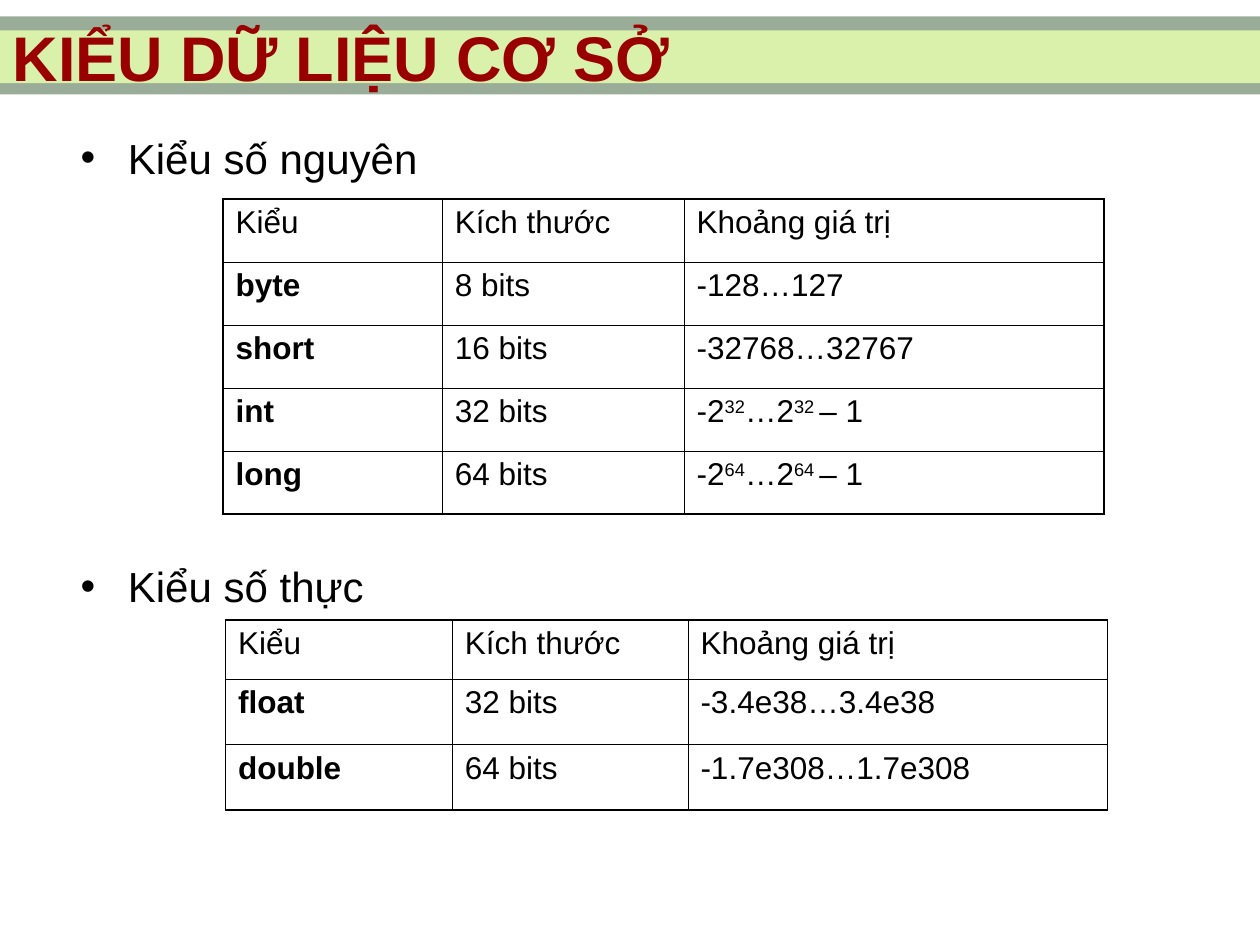
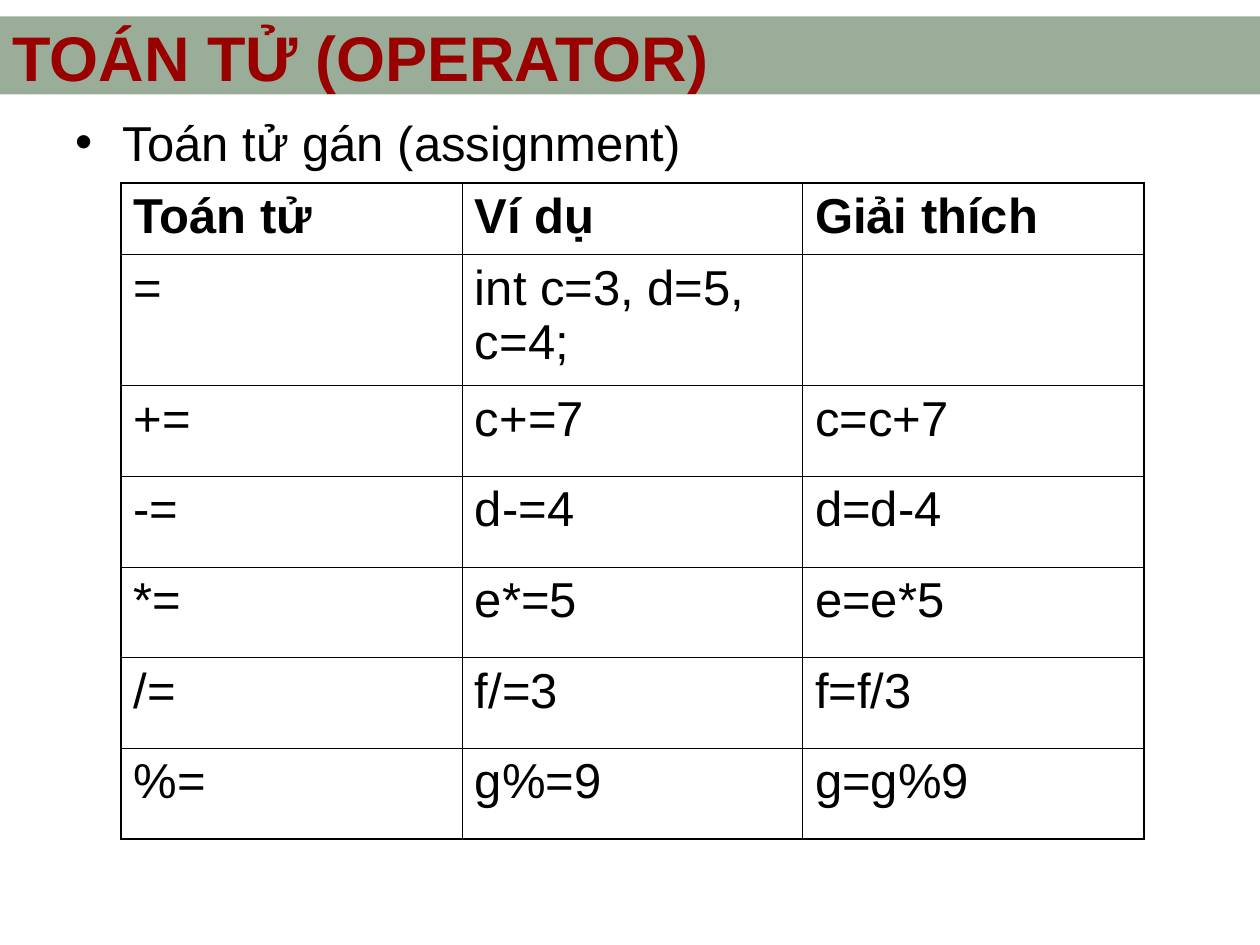
from pptx import Presentation
from pptx.dml.color import RGBColor
from pptx.enum.shapes import MSO_SHAPE
from pptx.enum.text import MSO_ANCHOR, MSO_AUTO_SIZE, PP_ALIGN
from pptx.oxml import parse_xml
from pptx.oxml.ns import nsdecls, qn
from pptx.util import Inches, Pt
from lxml import etree

RECTANGLE = MSO_SHAPE.RECTANGLE
MIDDLE, TOP = MSO_ANCHOR.MIDDLE, MSO_ANCHOR.TOP
LEFT = PP_ALIGN.LEFT
NO_AUTOFIT = MSO_AUTO_SIZE.NONE

# Shared look
FONT = "Arial"
BLACK = RGBColor(0x00, 0x00, 0x00)
DARK_GREEN = RGBColor(0x00, 0x33, 0x00)
LIGHT_GREEN = RGBColor(0xD9, 0xF1, 0xAB)
TITLE_RED = RGBColor(0x99, 0x00, 0x00)
BAND_OPACITY = 40
OUTER_LINE, INNER_LINE = Pt(1.08), Pt(0.45)
TITLE_AND_CONTENT = 1

# Table contents; text between carets is superscript
TYPE_HEADER = ["Kiểu", "Kích thước", "Khoảng giá trị"]
INTEGER_TYPES = [
    TYPE_HEADER,
    ["byte", "8 bits", "-128…127"],
    ["short", "16 bits", "-32768…32767"],
    ["int", "32 bits", "-2^32^…2^32 ^– 1"],
    ["long", "64 bits", "-2^64^…2^64 ^– 1"],
]
REAL_TYPES = [
    TYPE_HEADER,
    ["float", "32 bits", "-3.4e38…3.4e38"],
    ["double", "64 bits", "-1.7e308…1.7e308"],
]
ASSIGNMENT_OPERATORS = [
    ["Toán tử", "Ví dụ", "Giải thích"],
    ["=", "int c=3, d=5, c=4;", ""],
    ["+=", "c+=7", "c=c+7"],
    ["-=", "d-=4", "d=d-4"],
    ["*=", "e*=5", "e=e*5"],
    ["/=", "f/=3", "f=f/3"],
    ["%=", "g%=9", "g=g%9"],
]


def place(shape, left, top, width, height):
    shape.left, shape.top = Inches(left), Inches(top)
    shape.width, shape.height = Inches(width), Inches(height)


def format_font(paragraph, size, color=BLACK, bold=False):
    font = paragraph.font
    font.name, font.size, font.bold = FONT, Pt(size), bold
    font.color.rgb = color


def add_titled_slide(presentation, title_text, title_fill=None):
    """Add a slide with the translucent band behind its title."""
    layout = presentation.slide_layouts[TITLE_AND_CONTENT]
    slide = presentation.slides.add_slide(layout)

    band = slide.shapes.add_shape(
        RECTANGLE, 0, Inches(0.13), presentation.slide_width, Inches(0.62))
    band.shadow.inherit = False
    band.line.fill.background()
    band.fill.solid()
    band.fill.fore_color.rgb = DARK_GREEN
    color = band.element.spPr.find(qn("a:solidFill"))[0]
    etree.SubElement(color, qn("a:alpha"), val=str(BAND_OPACITY * 1000))

    title = slide.shapes.title
    title.element.addprevious(band.element)
    place(title, 0, 0.24, 10, 0.42)
    if title_fill is not None:
        title.fill.solid()
        title.fill.fore_color.rgb = title_fill
    frame = title.text_frame
    frame.text = title_text
    frame.auto_size = NO_AUTOFIT
    frame.vertical_anchor = MIDDLE
    paragraph = frame.paragraphs[0]
    paragraph.alignment = LEFT
    format_font(paragraph, 36, TITLE_RED, bold=True)
    return slide


def fill_bullets(slide, box, bullets, size):
    """Write (text, space before) bullets into the body placeholder."""
    body = slide.placeholders[1]
    place(body, *box)
    frame = body.text_frame
    frame.auto_size = NO_AUTOFIT
    frame.vertical_anchor = TOP
    frame.text = "\n".join(text for text, _ in bullets)
    for paragraph, (_, space_before) in zip(frame.paragraphs, bullets):
        paragraph.space_before = Pt(space_before)
        format_font(paragraph, size)


def write_cell(cell, text, size, bold):
    paragraph = cell.text_frame.paragraphs[0]
    format_font(paragraph, size, bold=bold)
    for index, part in enumerate(text.split("^")):
        if part:
            run = paragraph.add_run()
            run.text = part
            if index % 2:
                run.font._element.set("baseline", "30000")


def set_borders(cell, outer_sides):
    properties = cell._tc.get_or_add_tcPr()
    for side in "LRTB":
        width = OUTER_LINE if side in outer_sides else INNER_LINE
        properties.append(parse_xml(
            f'<a:ln{side} {nsdecls("a")} w="{width}"><a:solidFill>'
            f'<a:srgbClr val="{BLACK}"/></a:solidFill></a:ln{side}>'))


def add_grid(slide, left, top, widths, heights, rows, size, is_bold):
    """Add a ruled table; is_bold(row, column) picks the bold cells."""
    table = slide.shapes.add_table(
        len(rows), len(widths), Inches(left), Inches(top),
        Inches(sum(widths)), Inches(sum(heights))).table
    table.first_row = table.horz_banding = False
    for column, width in zip(table.columns, widths):
        column.width = Inches(width)
    for row, height in zip(table.rows, heights):
        row.height = Inches(height)

    last_row, last_column = len(rows) - 1, len(widths) - 1
    for i, texts in enumerate(rows):
        for j, text in enumerate(texts):
            cell = table.cell(i, j)
            write_cell(cell, text, size, is_bold(i, j))
            edges = {"L": j == 0, "R": j == last_column,
                     "T": i == 0, "B": i == last_row}
            set_borders(cell, [side for side in edges if edges[side]])
            cell.fill.background()


def is_type_name(row, column):
    return row > 0 and column == 0


def is_header(row, column):
    return row == 0


def build_data_types(presentation):
    slide = add_titled_slide(presentation, "KIỂU DỮ LIỆU CƠ SỞ", LIGHT_GREEN)
    # The second bullet clears the first table
    fill_bullets(slide, (0.54, 1, 8.75, 5.08),
                 [("Kiểu số nguyên", 6), ("Kiểu số thực", 216)], 24)
    add_grid(slide, 1.77, 1.58, [1.74, 1.92, 3.33], [0.5] * 5,
             INTEGER_TYPES, 18, is_type_name)
    add_grid(slide, 1.79, 4.92, [1.8, 1.87, 3.33], [0.47, 0.52, 0.52],
             REAL_TYPES, 18, is_type_name)


def build_operators(presentation):
    slide = add_titled_slide(presentation, "TOÁN TỬ (OPERATOR)")
    fill_bullets(slide, (0.5, 0.84, 9.19, 1),
                 [("Toán tử gán (assignment)", 7)], 28)
    add_grid(slide, 0.96, 1.45, [2.71, 2.7, 2.71], [0.57, 1.04] + [0.72] * 5,
             ASSIGNMENT_OPERATORS, 28, is_header)


def main():
    presentation = Presentation()
    presentation.slide_width = Inches(10)
    presentation.slide_height = Inches(7.5)
    build_data_types(presentation)
    build_operators(presentation)
    presentation.save("out.pptx")


if __name__ == "__main__":
    main()
